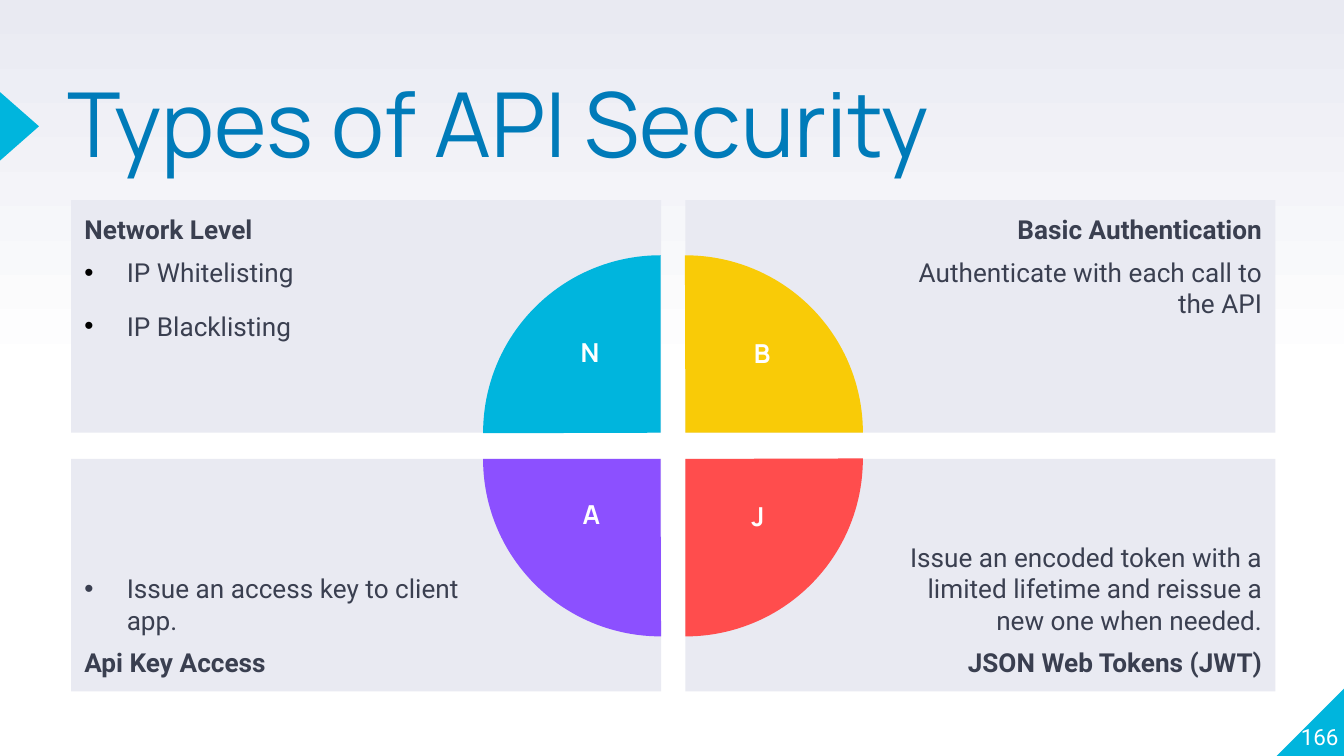
from dataclasses import dataclass

import pptx
import pptx.dml.color
import pptx.enum.shapes
import pptx.enum.text
import pptx.oxml.ns
import pptx.util
from lxml import etree

SHAPE = pptx.enum.shapes.MSO_SHAPE
ALIGN = pptx.enum.text.PP_ALIGN
ANCHOR = pptx.enum.text.MSO_ANCHOR
EMU_PER_PX = 4572


@dataclass(frozen=True)
class Theme:
    cyan: str = "00B5DD"
    yellow: str = "F9CB07"
    red: str = "FF4D4D"
    purple: str = "8C50FF"
    title: str = "007BB9"
    ink: str = "3A3F50"
    black: str = "000000"
    white: str = "FFFFFF"
    panel: str = "E9EAF2"
    heading_font: str = "Manrope"
    body_font: str = "Roboto"
    title_size: int = 48
    body_size: int = 14
    number_size: int = 12


THEME = Theme()


@dataclass(frozen=True)
class Box:
    x: int
    y: int
    w: int
    h: int


@dataclass(frozen=True)
class Line:
    text: str
    bold: bool = False
    bullet: str = ""


@dataclass(frozen=True)
class Quadrant:
    col: int
    row: int
    rotation: int
    color: str
    letter: str
    letter_box: Box
    lines: tuple[Line, ...]


QUADRANTS = (
    Quadrant(0, 0, 0, THEME.cyan, "N", Box(840, 491, 76, 98), (
        Line("Network Level", bold=True),
        Line("IP Whitelisting", bullet=THEME.black),
        Line("IP Blacklisting", bullet=THEME.black))),
    Quadrant(1, 0, 90, THEME.yellow, "B", Box(1063, 492, 142, 96), (
        Line("Basic Authentication", bold=True),
        Line("Authenticate with each call to the API"))),
    Quadrant(1, 1, 180, THEME.red, "J", Box(1088, 735, 80, 96), (
        Line("Issue an encoded token with a limited lifetime and reissue "
             "a new one when needed."),
        Line("JSON Web Tokens (JWT)", bold=True))),
    Quadrant(0, 1, 270, THEME.purple, "A", Box(833, 732, 94, 98), (
        Line("Issue an access key to client app.", bullet=THEME.ink),
        Line("Api Key Access", bold=True))),
)


def px(n: int) -> pptx.util.Emu:
    return pptx.util.Emu(n * EMU_PER_PX)


def rgb(color: str) -> pptx.dml.color.RGBColor:
    return pptx.dml.color.RGBColor.from_string(color)


def place(box: Box) -> tuple:
    return px(box.x), px(box.y), px(box.w), px(box.h)


def add_shape(s, kind, box: Box, color: str, rotation: int = 0):
    sp = s.shapes.add_shape(kind, *place(box))
    sp.shadow.inherit = False
    sp.fill.solid()
    sp.fill.fore_color.rgb = rgb(color)
    sp.line.fill.background()
    sp.rotation = rotation
    return sp


def add_bullet(p, color: str) -> None:
    ppr = p._p.get_or_add_pPr()
    ppr.set("marL", str(px(63)))
    ppr.set("indent", str(-px(63)))
    qn = pptx.oxml.ns.qn
    clr = etree.SubElement(ppr, qn("a:buClr"))
    etree.SubElement(clr, qn("a:srgbClr"), val=color)
    etree.SubElement(ppr, qn("a:buFont"), typeface="Arial")
    etree.SubElement(ppr, qn("a:buChar"), char="•")


def write(p, text: str, *, font: str = THEME.body_font,
          size: int = THEME.body_size, color: str = THEME.ink,
          bold: bool = False, align=ALIGN.LEFT) -> None:
    p.alignment = align
    r = p.add_run()
    r.text = text
    r.font.name = font
    r.font.size = pptx.util.Pt(size)
    r.font.bold = bold
    r.font.color.rgb = rgb(color)


def set_frame(tf, insets: tuple[int, int, int, int], anchor=ANCHOR.TOP) -> None:
    tf.word_wrap = True
    tf.vertical_anchor = anchor
    tf.margin_left, tf.margin_top, tf.margin_right, tf.margin_bottom = map(px, insets)


def add_text(s, box: Box, text: str, insets=(0, 0, 0, 0), anchor=ANCHOR.TOP,
             **style):
    tf = s.shapes.add_textbox(*place(box)).text_frame
    set_frame(tf, insets, anchor)
    p = tf.paragraphs[0]
    write(p, text, **style)
    return p


def add_panel(s, q: Quadrant) -> None:
    box = Box(106 + 914 * q.col, 298 + 385 * q.row, 878, 346)
    tf = add_shape(s, SHAPE.RECTANGLE, box, THEME.panel).text_frame
    set_frame(tf, (300, 20, 20, 20) if q.col else (20, 20, 300, 20),
              ANCHOR.BOTTOM if q.row else ANCHOR.TOP)
    for i, line in enumerate(q.lines):
        p = tf.add_paragraph() if i else tf.paragraphs[0]
        if i:
            p.space_before = p.space_after = pptx.util.Pt(6)
        if line.bullet:
            add_bullet(p, line.bullet)
        write(p, line.text, bold=line.bold,
              align=ALIGN.RIGHT if q.col else ALIGN.LEFT)


def add_pie(s, q: Quadrant) -> None:
    box = Box(719 + 37 * q.col, 380 + 39 * q.row, 528, 528)
    sp = add_shape(s, SHAPE.PIE, box, q.color, q.rotation)
    sp.adjustments[0] = 107.89
    sp.adjustments[1] = 162


def set_background(s) -> None:
    fill = s.background.fill
    fill.gradient()
    fill.gradient_angle = 90
    stops = ((0.5, THEME.white), (1, THEME.panel))
    for stop, (position, color) in zip(fill.gradient_stops, stops):
        stop.position = position
        stop.color.rgb = rgb(color)


def main() -> None:
    prs = pptx.Presentation()
    prs.slide_width, prs.slide_height = px(2000), px(1125)
    s = prs.slides.add_slide(prs.slide_layouts[6])
    set_background(s)

    corner = add_shape(s, SHAPE.RIGHT_TRIANGLE, Box(1900, 1023, 102, 102),
                       THEME.cyan)
    corner.element.spPr.xfrm.set("flipH", "1")
    add_shape(s, SHAPE.ISOSCELES_TRIANGLE, Box(-22, 159, 102, 58), THEME.cyan, 90)

    title = add_text(s, Box(100, 132, 1436, 236), "Types of API Security",
                     font=THEME.heading_font, size=THEME.title_size,
                     color=THEME.title)
    title.line_spacing = 0.8
    add_text(s, Box(1892, 1014, 100, 102), "166", anchor=ANCHOR.BOTTOM,
             size=THEME.number_size, color=THEME.white, align=ALIGN.RIGHT)

    for q in QUADRANTS:
        add_panel(s, q)
    for q in QUADRANTS:
        add_pie(s, q)
    for q in QUADRANTS:
        add_text(s, q.letter_box, q.letter, insets=(20, 10, 20, 10),
                 font=THEME.heading_font, color=THEME.white, bold=True,
                 align=ALIGN.CENTER)

    prs.save("out.pptx")


if __name__ == "__main__":
    main()
